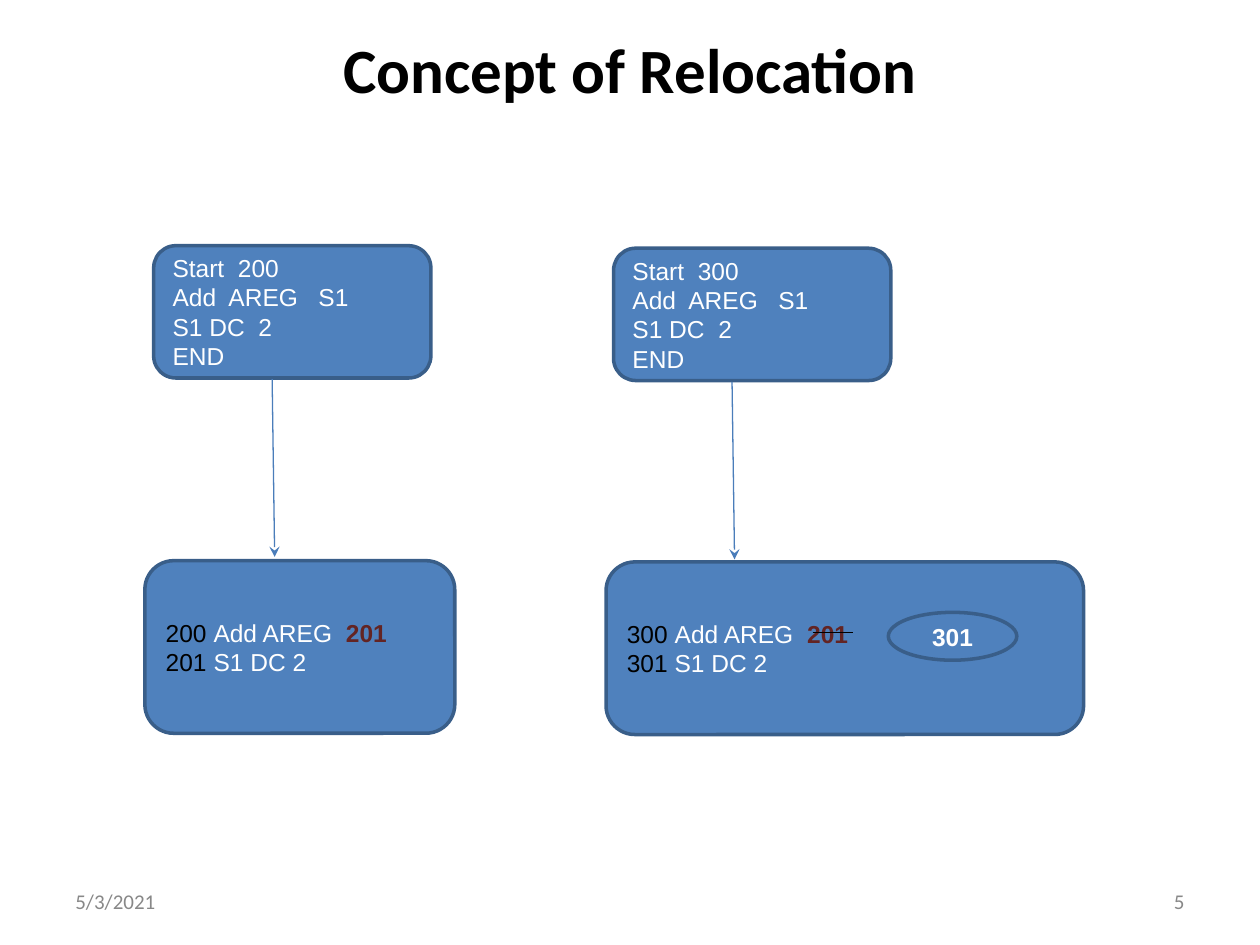
from lxml.etree import SubElement
from pptx import Presentation
from pptx.dml.color import RGBColor
from pptx.enum.shapes import MSO_CONNECTOR, MSO_SHAPE
from pptx.enum.text import MSO_ANCHOR, PP_ALIGN
from pptx.oxml.ns import qn
from pptx.util import Inches, Pt

COLORS = {
    "black": "000000",
    "white": "FFFFFF",
    "grey": "888888",
    "box": "4F81BD",
    "border": "395E89",
    "arrow": "4A7DBA",
    "address": "632423",
}


def color(name):
    """Return the named colour."""
    return RGBColor.from_string(COLORS[name])


def add_run(paragraph, text, size=14, font="Arial", fill="white", bold=False):
    """Add formatted text to a paragraph."""
    run = paragraph.add_run()
    run.text = text
    run.font.size = Pt(size)
    run.font.name = font
    run.font.bold = bold
    run.font.color.rgb = color(fill)


def hang(paragraph, start=None):
    """Give a paragraph a hanging indent and, with a start, automatic numbers."""
    properties = paragraph._p.get_or_add_pPr()
    properties.set("marL", str(Inches(0.38)))
    properties.set("indent", str(Inches(-0.38)))
    if start is not None:
        bullet_color = SubElement(properties, qn("a:buClr"))
        SubElement(bullet_color, qn("a:srgbClr"), val=COLORS["black"])
        SubElement(properties, qn("a:buFont"), typeface="Arial")
        SubElement(properties, qn("a:buAutoNum"), type="arabicPlain", startAt=str(start))


class RelocationSlide:
    """Hold the style and the current slide."""

    def __init__(self, presentation):
        """Start a title-only slide."""
        self.slide = presentation.slides.add_slide(presentation.slide_layouts[5])

    def place(self, shape, left, top, width, height):
        """Set the position and size of a shape."""
        shape.left, shape.top = Inches(left), Inches(top)
        shape.width, shape.height = Inches(width), Inches(height)

    def fill_text(self, shape, lines, align=PP_ALIGN.LEFT, anchor=MSO_ANCHOR.MIDDLE):
        """Write lines, each a list of (text, format) pairs, and return the paragraphs."""
        frame = shape.text_frame
        frame.word_wrap = True
        frame.vertical_anchor = anchor
        for index, line in enumerate(lines):
            paragraph = frame.add_paragraph() if index else frame.paragraphs[0]
            paragraph.alignment = align
            for text, style in line:
                add_run(paragraph, text, **style)
        return frame.paragraphs

    def title(self, text):
        """Write the title."""
        shape = self.slide.shapes.title
        self.place(shape, 0.75, 0.31, 8.5, 0.58)
        style = {"size": 36, "font": "Calibri", "fill": "black", "bold": True}
        self.fill_text(shape, [[(text, style)]], PP_ALIGN.CENTER, MSO_ANCHOR.BOTTOM)

    def footer(self, text, left, align):
        """Add a footer text."""
        shape = self.slide.shapes.add_textbox(
            Inches(left), Inches(6.95), Inches(2.33), Inches(0.4))
        style = {"size": 12, "font": "Calibri", "fill": "grey"}
        self.fill_text(shape, [[(text, style)]], align)

    def box(self, kind, bounds, lines, align=PP_ALIGN.LEFT):
        """Add a filled shape with text and return its paragraphs."""
        shape = self.slide.shapes.add_shape(kind, *map(Inches, bounds))
        shape.shadow.inherit = False
        shape.fill.solid()
        shape.fill.fore_color.rgb = color("box")
        shape.line.color.rgb = color("border")
        shape.line.width = Pt(2)
        return self.fill_text(shape, lines, align)

    def line(self, start, end, stroke, arrow=False):
        """Add a thin line, optionally with an arrowhead."""
        connector = self.slide.shapes.add_connector(
            MSO_CONNECTOR.STRAIGHT, *map(Inches, start + end))
        connector.line.color.rgb = color(stroke)
        connector.line.width = Pt(0.75)
        if arrow:
            SubElement(connector.line._get_or_add_ln(), qn("a:tailEnd"), type="stealth")
        SubElement(connector._element.spPr, qn("a:effectLst"))

    def program(self, left, top, origin):
        """Add a source program and the arrow to its translation."""
        lines = [f"Start  {origin}", "Add  AREG   S1", "S1 DC  2", "END"]
        self.box(MSO_SHAPE.ROUNDED_RECTANGLE, (left, top, 2.2, 1.05),
                 [[(text, {})] for text in lines])
        self.line((left + 0.94, top + 1.06), (left + 0.96, top + 2.47), "arrow", arrow=True)

    def code(self, left, top, width, lines, start=None):
        """Add a box of translated code."""
        paragraphs = self.box(MSO_SHAPE.ROUNDED_RECTANGLE, (left, top, width, 1.37), lines)
        for paragraph in paragraphs:
            hang(paragraph, start)


def main():
    """Build and save the slide."""
    presentation = Presentation()
    presentation.slide_width, presentation.slide_height = Inches(10), Inches(7.5)
    page = RelocationSlide(presentation)
    page.title("Concept of Relocation")
    page.footer("5/3/2021", 0.5, PP_ALIGN.LEFT)
    page.footer("5", 7.17, PP_ALIGN.RIGHT)

    black = {"fill": "black"}
    address = ("201", {"fill": "address", "bold": True})
    page.program(1.22, 1.95, 200)
    page.code(1.15, 4.45, 2.46,
              [[("Add AREG  ", {}), address], [("S1 DC 2", {})]], start=200)
    page.program(4.87, 1.97, 300)
    page.code(4.81, 4.46, 3.79,
              [[("300", black), ("\tAdd AREG  ", {}), address],
               [("301", black), (" S1 DC 2", {})]])
    page.line((6.45, 5.02), (6.77, 5.02), "black")
    page.box(MSO_SHAPE.OVAL, (7.05, 4.86, 1.02, 0.38),
             [[("301", {"bold": True})]], PP_ALIGN.CENTER)
    presentation.save("out.pptx")


if __name__ == "__main__":
    main()
